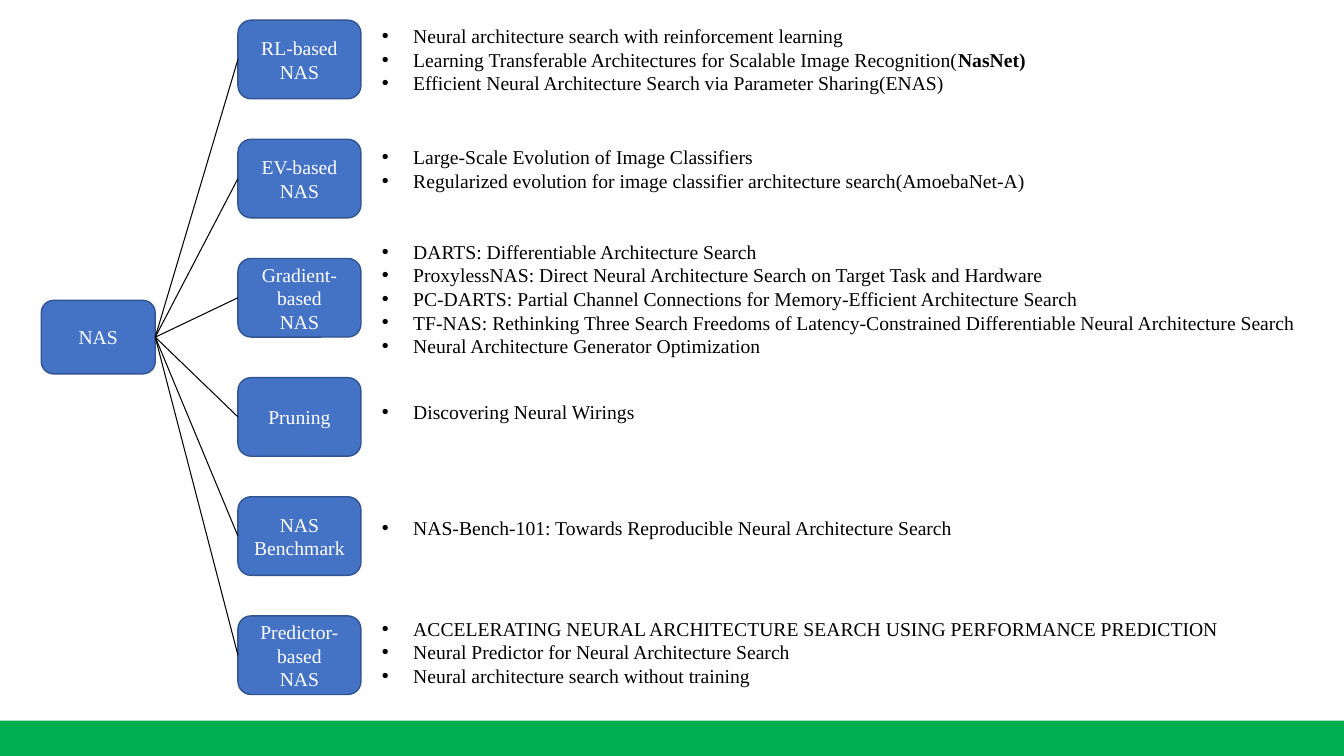
"""Build a one-slide taxonomy of neural architecture search papers."""
from lxml import etree
from pptx import Presentation, util as u
from pptx.dml.color import RGBColor
from pptx.enum import shapes, text
from pptx.oxml.ns import qn

COLORS = {"node": "4472C4", "edge": "325491", "footer": "00B050",
          "light": "FFFFFF", "dark": "000000"}
FORMAT = {"name": "Times New Roman", "size": u.Pt(14)}
SLIDE_W, SLIDE_H = 13.33, 7.5
FOOTER_H = 0.35
HUB_BOX = (0.41, 2.98, 1.13, 0.73)
BRANCH_X, BRANCH_W, BRANCH_H = 2.36, 1.22, 0.78
FIRST_ROW, LAST_ROW = 0.2, 6.11
PAPERS_X, LINE_H, PADDING, INDENT = 3.69, 0.235, 0.1, 0.31

BRANCHES = [
    (["RL-based NAS"], 0.19, 6.64, [
        ["Neural architecture search with reinforcement learning"],
        ["Learning Transferable Architectures for Scalable Image Recognition(", "NasNet)"],
        ["Efficient Neural Architecture Search via Parameter Sharing(ENAS)"]]),
    (["EV-based", "NAS"], 1.39, 6.61, [
        ["Large-Scale Evolution of Image Classifiers"],
        ["Regularized evolution for image classifier architecture search(AmoebaNet-A)"]]),
    (["Gradient-based", "NAS"], 2.33, 9.33, [
        ["DARTS: Differentiable Architecture Search"],
        ["ProxylessNAS: Direct Neural Architecture Search on Target Task and Hardware"],
        ["PC-DARTS: Partial Channel Connections for Memory-Efficient Architecture Search"],
        ["TF-NAS: Rethinking Three Search Freedoms of Latency-Constrained "
         "Differentiable Neural Architecture Search"],
        ["Neural Architecture Generator Optimization"]]),
    (["Pruning"], 3.92, 2.73, [["Discovering Neural Wirings"]]),
    (["NAS Benchmark"], 5.07, 5.91, [
        ["NAS-Bench-101: Towards Reproducible Neural Architecture Search"]]),
    (["Predictor-based", "NAS"], 6.07, 8.61, [
        ["ACCELERATING NEURAL ARCHITECTURE SEARCH USING PERFORMANCE PREDICTION"],
        ["Neural Predictor for Neural Architecture Search"],
        ["Neural architecture search without training"]]),
]


def inches(*lengths):
    """Convert lengths in inches to slide units."""
    return [u.Inches(length) for length in lengths]


def color(key):
    """Look up a palette colour."""
    return RGBColor.from_string(COLORS[key])


def add_words(paragraph, words, color_key, bold=False):
    """Add one formatted run to a paragraph."""
    run = paragraph.add_run()
    run.text = words
    for attribute, value in {**FORMAT, "bold": bold}.items():
        setattr(run.font, attribute, value)
    run.font.color.rgb = color(color_key)


def paragraphs(frame, count):
    """Return the given number of paragraphs in an empty text frame."""
    return [frame.paragraphs[0]] + [frame.add_paragraph() for _ in range(count - 1)]


def add_block(slide, kind, box, fill_key):
    """Add a flat filled shape."""
    block = slide.shapes.add_shape(kind, *inches(*box))
    block.shadow.inherit = False
    block.fill.solid()
    block.fill.fore_color.rgb = color(fill_key)
    block.line.fill.background()
    return block


def add_node(slide, box, label):
    """Add a rounded tree node with a centred label."""
    node = add_block(slide, shapes.MSO_SHAPE.ROUNDED_RECTANGLE, box, "node")
    node.line.color.rgb = color("edge")
    node.line.width = u.Pt(1)
    frame = node.text_frame
    frame.word_wrap = True
    frame.vertical_anchor = text.MSO_ANCHOR.MIDDLE
    for paragraph, words in zip(paragraphs(frame, len(label)), label):
        paragraph.alignment = text.PP_ALIGN.CENTER
        add_words(paragraph, words, "light")
    return node


def add_bullet(paragraph):
    """Give a paragraph a hanging round bullet."""
    properties = paragraph._p.get_or_add_pPr()
    properties.set("marL", str(u.Inches(INDENT)))
    properties.set("indent", str(-u.Inches(INDENT)))
    etree.SubElement(properties, qn("a:buFont")).set("typeface", "Arial")
    etree.SubElement(properties, qn("a:buChar")).set("char", "•")


def add_papers(slide, top, width, papers):
    """Add a bulleted paper list whose second runs are bold."""
    height = PADDING + LINE_H * len(papers)
    frame = slide.shapes.add_textbox(*inches(PAPERS_X, top, width, height)).text_frame
    frame.word_wrap = False
    frame.auto_size = text.MSO_AUTO_SIZE.SHAPE_TO_FIT_TEXT
    for paragraph, parts in zip(paragraphs(frame, len(papers)), papers):
        add_bullet(paragraph)
        for position, words in enumerate(parts):
            add_words(paragraph, words, "dark", bold=position > 0)


def add_link(slide, hub, branch):
    """Join the hub's right side to a branch's left side."""
    link = slide.shapes.add_connector(shapes.MSO_CONNECTOR.STRAIGHT, 0, 0, 0, 0)
    link.begin_connect(hub, 3)
    link.end_connect(branch, 1)
    link.line.color.rgb = color("dark")
    link.line.width = u.Pt(0.75)
    etree.SubElement(link._element.spPr, qn("a:effectLst"))


def main():
    """Draw the taxonomy and save it."""
    deck = Presentation()
    deck.slide_width, deck.slide_height = inches(SLIDE_W, SLIDE_H)
    slide = deck.slides.add_slide(deck.slide_layouts[6])
    add_block(slide, shapes.MSO_SHAPE.RECTANGLE,
              (0, SLIDE_H - FOOTER_H, SLIDE_W, FOOTER_H), "footer")
    hub = add_node(slide, HUB_BOX, ["NAS"])
    row_step = (LAST_ROW - FIRST_ROW) / (len(BRANCHES) - 1)
    for row, (label, papers_top, papers_width, papers) in enumerate(BRANCHES):
        box = (BRANCH_X, FIRST_ROW + row * row_step, BRANCH_W, BRANCH_H)
        branch = add_node(slide, box, label)
        add_papers(slide, papers_top, papers_width, papers)
        add_link(slide, hub, branch)
    deck.save("out.pptx")


if __name__ == "__main__":
    main()
